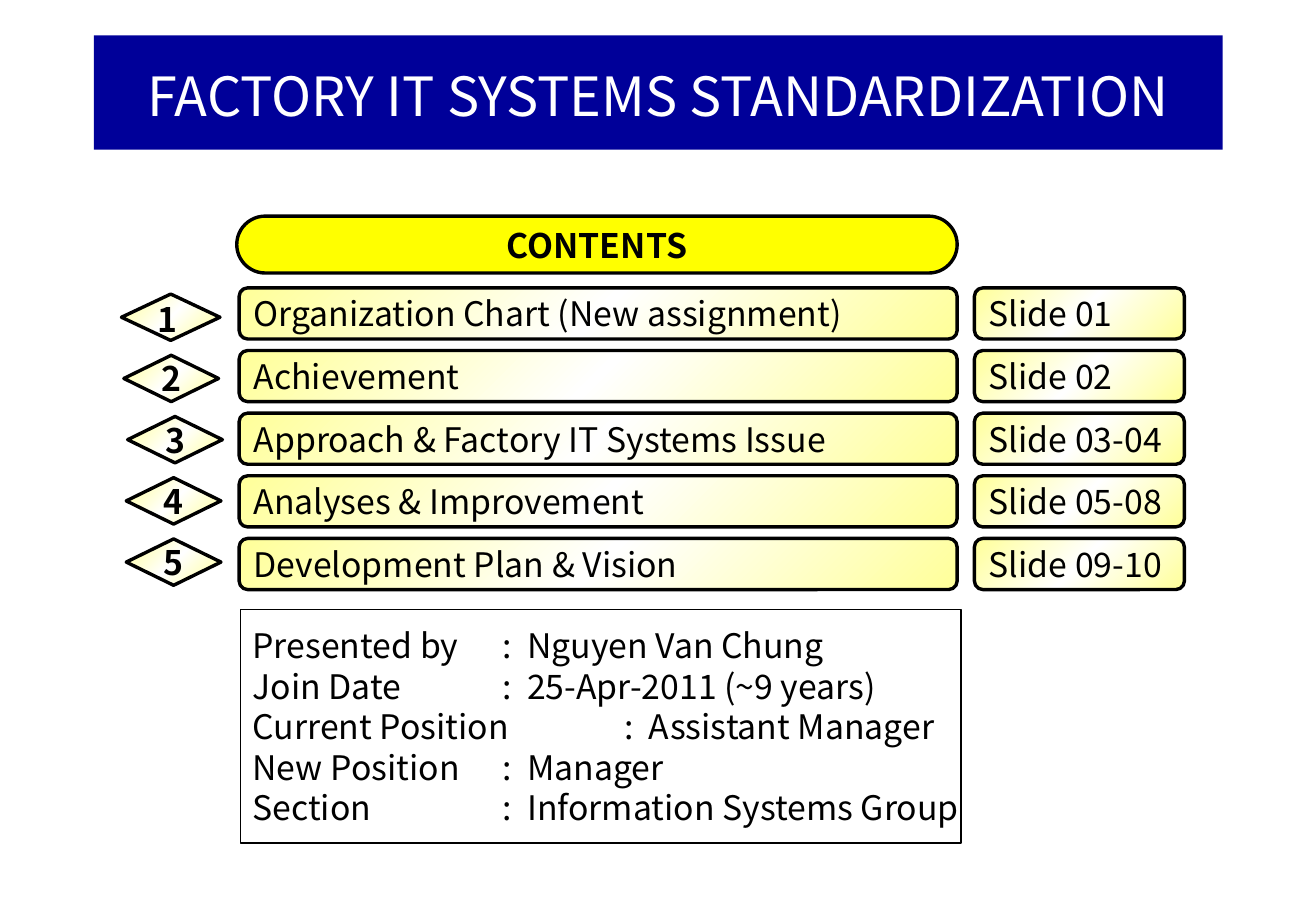
import copy
import pptx
import pptx.util
import pptx.dml.color
import pptx.enum.shapes
import pptx.enum.text
import pptx.oxml.ns
import lxml.etree

Cm = pptx.util.Cm
Pt = pptx.util.Pt
RGB = pptx.dml.color.RGBColor
SHAPE = pptx.enum.shapes.MSO_SHAPE
ALIGN = pptx.enum.text.PP_ALIGN
ANCHOR = pptx.enum.text.MSO_ANCHOR
qn = pptx.oxml.ns.qn

NAVY = RGB(0x00, 0x00, 0x99)
YELLOW = RGB(0xFF, 0xFF, 0x00)
PALE = RGB(0xFF, 0xFF, 0x99)
WHITE = RGB(0xFF, 0xFF, 0xFF)
BLACK = RGB(0x00, 0x00, 0x00)

TITLE = "FACTORY IT SYSTEMS STANDARDIZATION"
HEADING = "CONTENTS"
CONTENTS = [
    ("Organization Chart (New assignment)", "Slide 01", 2.54),
    ("Achievement", "Slide 02", 2.59),
    ("Approach & Factory IT Systems Issue", "Slide 03-04", 2.67),
    ("Analyses & Improvement", "Slide 05-08", 2.64),
    ("Development Plan & Vision", "Slide 09-10", 2.64),
]
PRESENTER = [
    ("Presented by", "Nguyen Van Chung", 5.23),
    ("Join Date", "25-Apr-2011 (~9 years)", 5.23),
    ("Current Position", "Assistant Manager", 7.77),
    ("New Position", "Manager", 5.23),
    ("Section", "Information Systems Group", 5.23),
]
VALUE_GAP = 0.51

BAR_TOP, BAR_STEP, BAR_HEIGHT = 6.02, 1.31, 1.07
DIAMOND_TOP, DIAMOND_STEP = 6.15, 1.28

BODY = {"name": "Noto Sans CJK JP", "size": Pt(20), "bold": False}
STRONG = {**BODY, "bold": True}
TITLE_FONT = {**BODY, "size": Pt(32)}


def set_font(font, values, color=BLACK):
    for name, value in values.items():
        setattr(font, name, value)
    font.color.rgb = color


def write(s, text, values=BODY, align=ALIGN.LEFT):
    tf = s.text_frame
    tf.word_wrap = False
    tf.vertical_anchor = ANCHOR.MIDDLE
    p = tf.paragraphs[0]
    p.alignment = align
    r = p.add_run()
    r.text = text
    set_font(r.font, values)


def add_box(kind, left, top, width, height, line=2):
    s = slide.shapes.add_shape(kind, Cm(left), Cm(top), Cm(width), Cm(height))
    s.shadow.inherit = False
    s.line.color.rgb = BLACK
    s.line.width = Pt(line)
    return s


def add_glow_box(kind, left, top, width, height):
    s = add_box(kind, left, top, width, height)
    s.fill.gradient()
    s.fill.gradient_angle = 315
    for stop in s.fill.gradient_stops:
        stop.color.rgb = PALE
    first = s._element.spPr.find(".//" + qn("a:gs"))
    first.addnext(copy.deepcopy(first))
    middle = s.fill.gradient_stops[1]
    middle.position = 0.5
    middle.color.rgb = WHITE
    return s


def add_tabs(p, stops):
    tabs = lxml.etree.SubElement(p._p.get_or_add_pPr(), qn("a:tabLst"))
    for stop in stops:
        lxml.etree.SubElement(tabs, qn("a:tab"), pos=str(int(Cm(stop))), algn="l")


prs = pptx.Presentation()
prs.slide_width, prs.slide_height = Cm(27.51), Cm(19.05)
slide = prs.slides.add_slide(prs.slide_layouts[5])

title = slide.shapes.title
title.left, title.top, title.width, title.height = Cm(1.96), Cm(0.74), Cm(23.6), Cm(2.39)
title.fill.solid()
title.fill.fore_color.rgb = NAVY
tf = title.text_frame
tf.text = TITLE
tf.word_wrap = True
tf.auto_size = pptx.enum.text.MSO_AUTO_SIZE.NONE
tf.vertical_anchor = ANCHOR.TOP
tf.margin_top = tf.margin_bottom = Cm(0.51)
p = tf.paragraphs[0]
p.alignment = ALIGN.CENTER
p.line_spacing = Pt(40)
set_font(p.runs[0].font, TITLE_FONT, WHITE)

heading = add_box(SHAPE.ROUNDED_RECTANGLE, 4.95, 4.52, 15.06, 1.19)
heading.adjustments[0] = 0.5
heading.fill.solid()
heading.fill.fore_color.rgb = YELLOW
write(heading, HEADING, STRONG, ALIGN.CENTER)

for i, (topic, pages, diamond_left) in enumerate(CONTENTS):
    bar_top = BAR_TOP + i * BAR_STEP
    write(add_glow_box(SHAPE.ROUNDED_RECTANGLE, 5, bar_top, 15.01, BAR_HEIGHT), topic)
    write(add_glow_box(SHAPE.ROUNDED_RECTANGLE, 20.37, bar_top, 4.39, BAR_HEIGHT), pages)
    diamond_width = 2.06 if i == 0 else 1.98
    diamond = add_glow_box(SHAPE.DIAMOND, diamond_left, DIAMOND_TOP + i * DIAMOND_STEP,
                           diamond_width, 0.97)
    if i == 0:
        label = slide.shapes.add_textbox(Cm(3.05), Cm(6.12), Cm(0.74), Cm(1.12))
        write(label, "1", STRONG)
    else:
        write(diamond, str(i + 1), STRONG, ALIGN.CENTER)

presenter = add_box(SHAPE.RECTANGLE, 5.03, 12.75, 15.06, 4.88, 0.75)
presenter.fill.background()
tf = presenter.text_frame
tf.word_wrap = False
tf.vertical_anchor = ANCHOR.MIDDLE
for i, (field, value, colon) in enumerate(PRESENTER):
    p = tf.paragraphs[0] if i == 0 else tf.add_paragraph()
    p.alignment = ALIGN.LEFT
    p.line_spacing = Pt(24)
    add_tabs(p, (colon, colon + VALUE_GAP))
    r = p.add_run()
    r.text = f"{field}\t:\t{value}"
    set_font(r.font, BODY)

prs.save("out.pptx")
